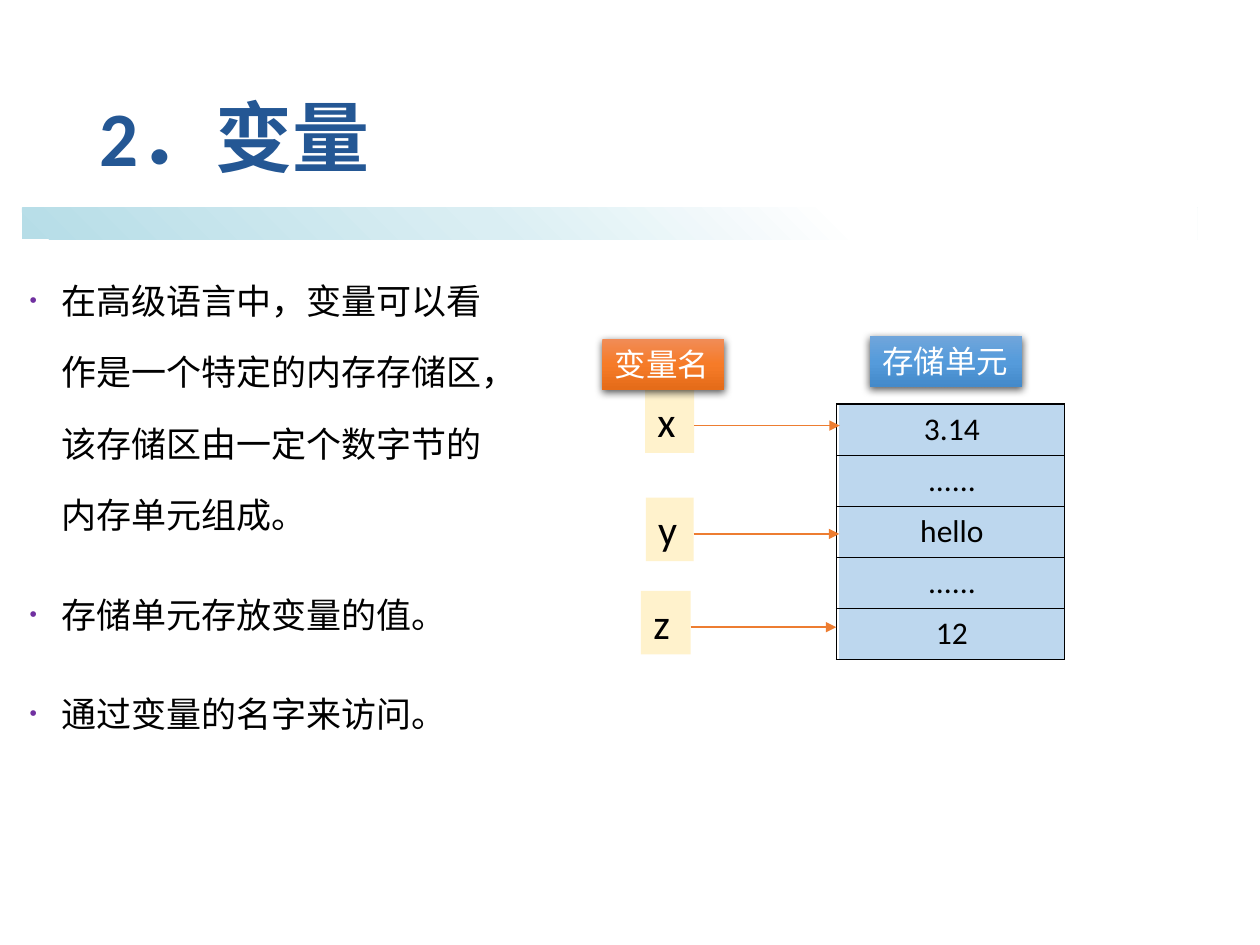
from lxml.etree import SubElement
from pptx import Presentation
from pptx.dml.color import RGBColor as Rgb
from pptx.enum.shapes import MSO_CONNECTOR as Link, MSO_SHAPE as Form
from pptx.enum.text import MSO_ANCHOR as Anchor, PP_ALIGN as Align
from pptx.oxml import parse_xml
from pptx.oxml.ns import nsdecls, qn
from pptx.util import Pt

THEME = {
    "title": "245794", "ink": "000000", "light": "FFFFFF", "bullet": "7030A0",
    "cell": "BDD7EE", "name": "FFF2CC", "arrow": "ED7D31",
    "band": [(0, "B6DDE7"), (40, "DAEEF3"), (70, "FFFFFF"), (100, "FFFFFF")],
    "blue": [(0, "71A6DB"), (50, "559BDB"), (100, "448ACA")],
    "orange": [(0, "F18C57"), (50, "F67B28"), (100, "E56C19")],
    "latin": "Calibri", "body": "Arial",
    "big": 44, "mid": 24, "text": 20, "small": 18,
}
TITLE = "2．变量"
POINTS = [
    "在高级语言中，变量可以看作是一个特定的内存存储区，该存储区由一定个数字节的内存单元组成。",
    "存储单元存放变量的值。",
    "通过变量的名字来访问。",
]
CELLS = ["3.14", "......", "hello", "......", "12"]
NAMES = [("x", 368.6, 222.5, 28.1), ("y", 369, 284.4, 27.4), ("z", 366.3, 337.7, 28.4)]
LABELS = [("存储单元", 497, 192, 87.1, "blue"), ("变量名", 344.2, 193.7, 69.8, "orange")]
GRID = (478.8, 231, 130.3, 29.2)
FRAME = (478, 231, 130.3, 29.2)


def style(para, size, color, face):
    """Set the font of every run in a paragraph."""
    for run in para.runs:
        run.font.size = Pt(size)
        run.font.name = face
        run.font.color.rgb = Rgb.from_string(color)


def add_box(slide, area, text, size, color, face, wrap=True):
    """Add a text box holding one styled paragraph."""
    box = slide.shapes.add_textbox(*map(Pt, area))
    box.text_frame.word_wrap = wrap
    box.text_frame.text = text
    style(box.text_frame.paragraphs[0], size, color, face)
    return box


def blend(shape, stops, angle):
    """Fill a shape with a linear gradient."""
    shape.fill.gradient()
    grad = shape._element.spPr.find(qn("a:gradFill"))
    marks = "".join(
        f'<a:gs pos="{pos * 1000}"><a:srgbClr val="{color}"/></a:gs>' for pos, color in stops)
    new = parse_xml(
        f'<a:gradFill {nsdecls("a")} rotWithShape="1"><a:gsLst>{marks}</a:gsLst>'
        f'<a:lin ang="{angle * 60000}" scaled="0"/></a:gradFill>')
    grad.getparent().replace(grad, new)


def add_shade(shape):
    """Give a shape a soft shadow below it."""
    shape._element.spPr.append(parse_xml(
        f'<a:effectLst {nsdecls("a")}><a:outerShdw blurRad="{Pt(4.5)}" dist="{Pt(1.5)}" '
        'dir="5400000" algn="ctr" rotWithShape="0"><a:srgbClr val="000000">'
        '<a:alpha val="63000"/></a:srgbClr></a:outerShdw></a:effectLst>'))


def add_band(slide):
    """Draw the fading band under the title."""
    band = slide.shapes.add_shape(Form.RECTANGLE, Pt(12.5), Pt(118.8), Pt(671.8), Pt(18))
    band.shadow.inherit = False
    band.line.fill.background()
    blend(band, THEME["band"], 315)


def add_points(slide):
    """Write the bulleted explanation."""
    box = slide.shapes.add_textbox(Pt(9.8), Pt(139.4), Pt(273.6), Pt(375.8))
    frame = box.text_frame
    frame.word_wrap = True
    frame.text = "\n".join(POINTS)
    for i, para in enumerate(frame.paragraphs):
        props = para._p.get_or_add_pPr()
        props.set("marL", str(Pt(18)))
        props.set("indent", str(-Pt(18)))
        SubElement(SubElement(props, qn("a:buClr")), qn("a:srgbClr"), val=THEME["bullet"])
        SubElement(props, qn("a:buSzPct"), val="60000")
        SubElement(props, qn("a:buFont"), typeface=THEME["body"])
        SubElement(props, qn("a:buChar"), char="•")
        para.line_spacing = 1.7
        para.space_before = Pt(10 if i else 0)
        para.space_after = Pt(6)
        style(para, THEME["text"], THEME["ink"], THEME["body"])


def add_grid(slide, area):
    """Add a plain one-column table and return its cells."""
    left, top, width, high = area
    table = slide.shapes.add_table(
        len(CELLS), 1, Pt(left), Pt(top), Pt(width), Pt(high * len(CELLS))).table
    table.first_row = table.horz_banding = False
    for row in table.rows:
        row.height = Pt(high)
    return list(table.iter_cells())


def add_cells(slide):
    """Draw the stored values on their tinted cells."""
    for cell, text in zip(add_grid(slide, GRID), CELLS):
        cell.text = text
        cell.fill.solid()
        cell.fill.fore_color.rgb = Rgb.from_string(THEME["cell"])
        para = cell.text_frame.paragraphs[0]
        para.alignment = Align.CENTER
        style(para, THEME["small"], THEME["ink"], THEME["latin"])


def add_frame(slide):
    """Draw the ruled table over the stored values."""
    for cell in add_grid(slide, FRAME):
        cell.fill.background()
        for spot, side in enumerate("LRTB"):
            cell._tc.get_or_add_tcPr().insert(spot, parse_xml(
                f'<a:ln{side} {nsdecls("a")} w="{Pt(1)}"><a:solidFill>'
                f'<a:srgbClr val="{THEME["ink"]}"/></a:solidFill></a:ln{side}>'))


def add_names(slide):
    """Draw each variable name with an arrow to its cell."""
    high, drop, reach = 36.3, 20.7, 83.2
    for text, left, top, width in NAMES:
        box = add_box(slide, (left, top, width, high), text,
                      THEME["mid"], THEME["ink"], THEME["latin"])
        box.fill.solid()
        box.fill.fore_color.rgb = Rgb.from_string(THEME["name"])
        start, level = left + width, Pt(top + drop)
        arrow = slide.shapes.add_connector(
            Link.STRAIGHT, Pt(start), level, Pt(start + reach), level)
        arrow.line.width = Pt(1)
        arrow.line.color.rgb = Rgb.from_string(THEME["arrow"])
        SubElement(arrow.line._get_or_add_ln(), qn("a:tailEnd"), type="triangle")
        SubElement(arrow._element.spPr, qn("a:effectLst"))


def add_labels(slide):
    """Draw the two headings of the diagram."""
    for text, left, top, width, tone in LABELS:
        box = add_box(slide, (left, top, width, 29), text,
                      THEME["small"], THEME["light"], THEME["body"], False)
        blend(box, THEME[tone], 90)
        add_shade(box)


def main():
    """Build the slide and save it."""
    deck = Presentation()
    deck.slide_width, deck.slide_height = Pt(720), Pt(540)
    slide = deck.slides.add_slide(deck.slide_layouts[6])
    add_band(slide)
    add_cells(slide)
    title = add_box(slide, (49.7, 28.8, 620.6, 104.4), TITLE,
                    THEME["big"], THEME["title"], THEME["latin"]).text_frame
    title.vertical_anchor = Anchor.MIDDLE
    title.paragraphs[0].line_spacing = 0.9
    title.paragraphs[0].runs[0].font.bold = True
    add_points(slide)
    add_frame(slide)
    add_names(slide)
    add_labels(slide)
    deck.save("out.pptx")


if __name__ == "__main__":
    main()
